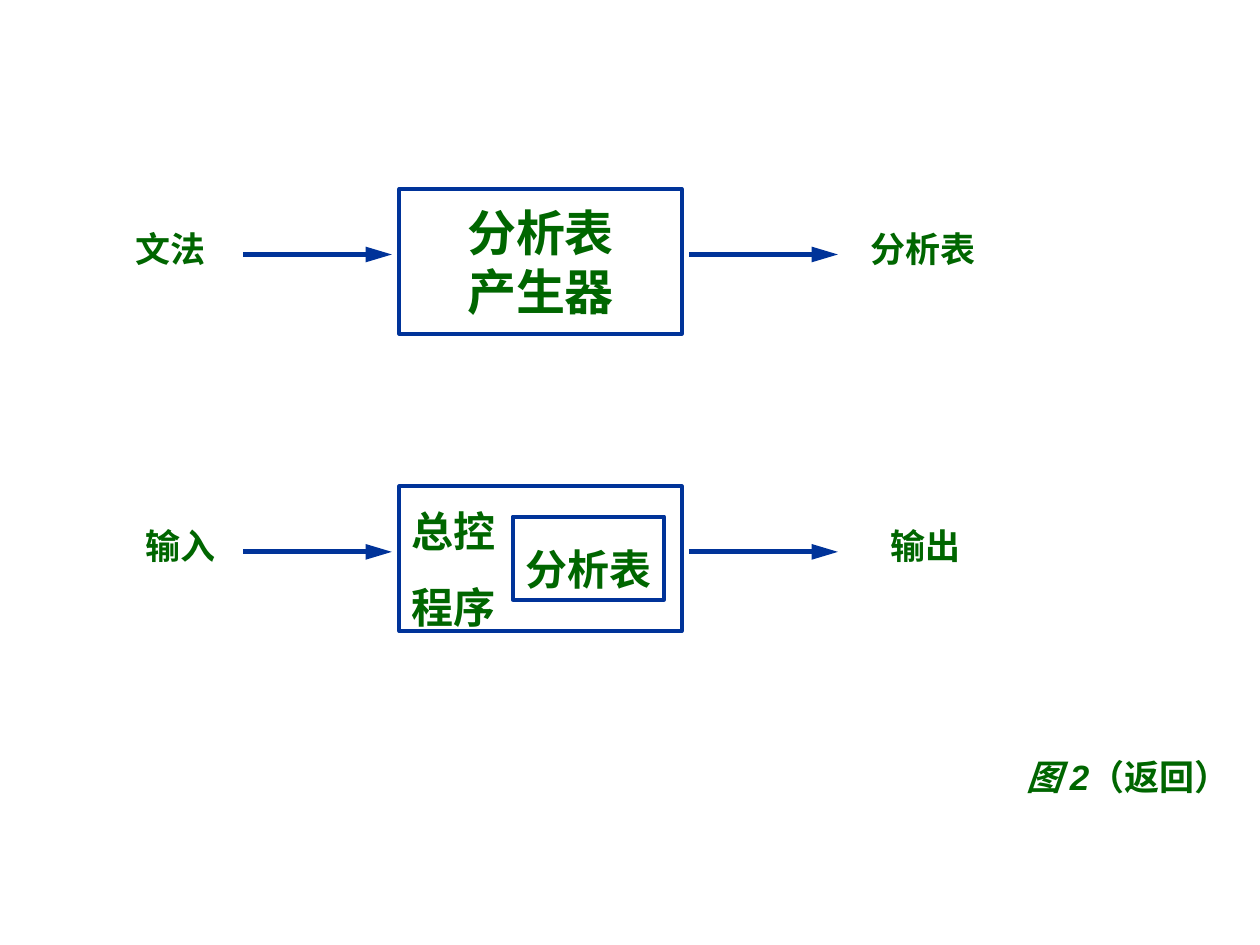
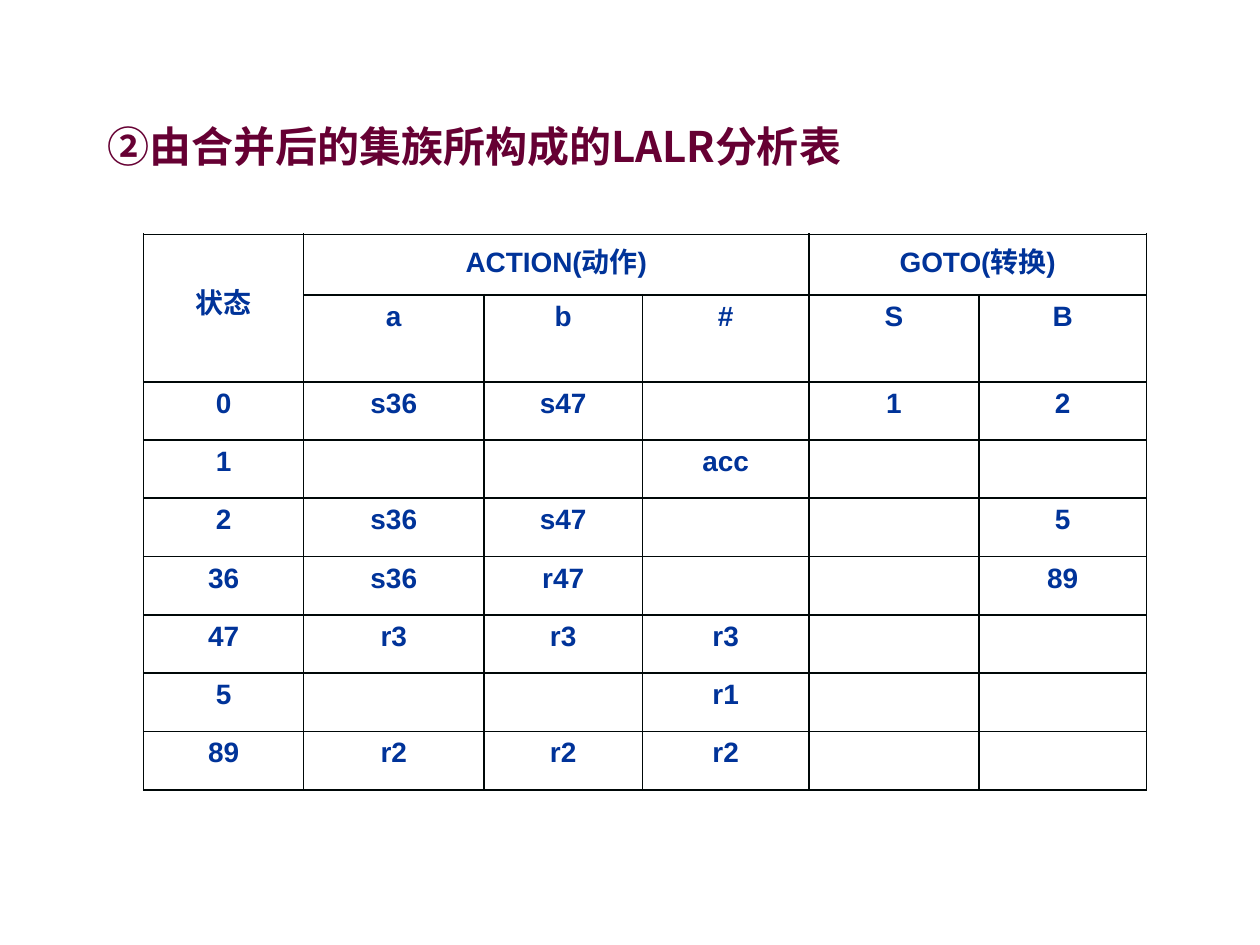
"""Build two slides on LALR parsing: a block diagram and an analysis table."""
from lxml.etree import SubElement
from pptx import Presentation
from pptx.dml.color import RGBColor
from pptx.enum.shapes import MSO_CONNECTOR, MSO_SHAPE
from pptx.enum.text import MSO_ANCHOR, MSO_AUTO_SIZE, PP_ALIGN
from pptx.oxml.ns import qn
from pptx.util import Inches, Pt

COLORS = {"text": "006600", "line": "003399", "title": "660033", "border": "000808"}
JP, SC, ARIAL = "Noto Sans CJK JP", "Noto Sans CJK SC", "Arial"

FLOWS = [
    {"top": 1.5, "box": ["分析表", "产生器"], "size": 28, "align": PP_ALIGN.CENTER,
     "spacing": None, "before": 0,
     "labels": [("文法", 0.98, 0.87), ("分析表", 6.81, 1.18)]},
    {"top": 3.86, "box": ["总控", "程序"], "size": 24, "align": PP_ALIGN.LEFT,
     "spacing": 1.4, "before": 3,
     "labels": [("输入", 1.06, 0.87), ("输出", 6.97, 0.79)]},
]
ARROWS = [(1.93, 3.11), (5.47, 6.65)]
INNER_BOX = "分析表"
CAPTION = [("图 2", True), ("（返回）", False)]

TITLE = [("②", SC), ("由合并后的集族所构成的LALR分析表", JP)]
COL_WIDTHS = [1.27, 1.43, 1.26, 1.32, 1.35, 1.33]
HEAD_HEIGHTS = [0.48, 0.69]
BODY_HEIGHT = 3.24
SPANS = [(0, 0, 1, 0), (0, 1, 0, 3), (0, 4, 0, 5)]
ROWS = [
    ["状态", "ACTION(动作)", "", "", "GOTO(转换)", ""],
    ["", "a", "b", "#", "S", "B"],
    ["0", "s36", "s47", "", "1", "2"],
    ["1", "", "", "acc", "", ""],
    ["2", "s36", "s47", "", "", "5"],
    ["36", "s36", "r47", "", "", "89"],
    ["47", "r3", "r3", "r3", "", ""],
    ["5", "", "", "r1", "", ""],
    ["89", "r2", "r2", "r2", "", ""],
]


def rgb(name):
    return RGBColor.from_string(COLORS[name])


def add_run(p, text, size, color, font=JP, italic=False):
    r = p.add_run()
    r.text = text
    r.font.size, r.font.bold, r.font.italic = Pt(size), True, italic
    r.font.color.rgb = rgb(color)
    r.font.name = font
    ea = SubElement(r.font._element, qn("a:ea"))
    ea.set("typeface", SC if font == ARIAL else font)


def set_frame(tf, anchor=MSO_ANCHOR.TOP, wrap=True):
    tf.word_wrap, tf.auto_size, tf.vertical_anchor = wrap, MSO_AUTO_SIZE.NONE, anchor
    tf.margin_left = tf.margin_right = Inches(0.1)
    tf.margin_top = tf.margin_bottom = Inches(0.05)


def set_paragraph(p, align, before=0, spacing=None):
    p.alignment, p.space_before, p.line_spacing = align, Pt(before), spacing


def add_text(s, left, top, width, height):
    tf = s.shapes.add_textbox(*map(Inches, (left, top, width, height))).text_frame
    set_frame(tf)
    return tf.paragraphs[0]


def add_box(s, at, lines, size, align, spacing, before, wrap=True):
    sp = s.shapes.add_shape(MSO_SHAPE.RECTANGLE, *map(Inches, at))
    sp.shadow.inherit = False
    sp.fill.background()
    sp.line.color.rgb, sp.line.width = rgb("line"), Pt(2.25)
    tf = sp.text_frame
    set_frame(tf, MSO_ANCHOR.MIDDLE, wrap)
    for i, line in enumerate(lines):
        p = tf.add_paragraph() if i else tf.paragraphs[0]
        set_paragraph(p, align, before, spacing)
        add_run(p, line, size, "text")


def add_arrow(s, x1, x2, y):
    cx = s.shapes.add_connector(MSO_CONNECTOR.STRAIGHT, *map(Inches, (x1, y, x2, y)))
    cx.line.color.rgb, cx.line.width = rgb("line"), Pt(3)
    SubElement(cx.line._get_or_add_ln(), qn("a:tailEnd"), type="triangle", w="med", len="lg")
    SubElement(cx._element.spPr, qn("a:effectLst"))


def build_diagram(prs):
    s = prs.slides.add_slide(prs.slide_layouts[6])
    p = add_text(s, 7.91, 5.95, 2.09, 0.44)
    set_paragraph(p, PP_ALIGN.CENTER, 12.5)
    for text, italic in CAPTION:
        add_run(p, text, 20, "text", ARIAL, italic)
    for flow in FLOWS:
        top = flow["top"]
        add_box(s, (3.17, top, 2.24, 1.15), flow["box"], flow["size"],
                flow["align"], flow["spacing"], flow["before"])
        for x1, x2 in ARROWS:
            add_arrow(s, x1, x2, top + 0.52)
        for text, left, width in flow["labels"]:
            p = add_text(s, left, top + 0.12, width, 0.57)
            set_paragraph(p, PP_ALIGN.LEFT, 12.5, 1.4)
            add_run(p, text, 20, "text")
    add_box(s, (4.07, 4.1, 1.2, 0.66), [INNER_BOX], 24, PP_ALIGN.CENTER, 1.4, 15, wrap=False)


def format_cell(cell, text):
    tcPr = cell._tc.get_or_add_tcPr()
    for side in ("lnL", "lnR", "lnT", "lnB"):
        ln = SubElement(tcPr, qn(f"a:{side}"), w=str(Pt(1.08)))
        fill = SubElement(ln, qn("a:solidFill"))
        SubElement(fill, qn("a:srgbClr"), val=COLORS["border"])
    cell.fill.background()
    p = cell.text_frame.paragraphs[0]
    set_paragraph(p, PP_ALIGN.CENTER, 4)
    p.font.size = Pt(16)
    if text:
        add_run(p, text, 16, "line", ARIAL)


def build_table(prs):
    s = prs.slides.add_slide(prs.slide_layouts[5])
    title = s.shapes.title
    title.left, title.top, title.width, title.height = map(Inches, (0.75, 0.91, 7.95, 0.5))
    set_frame(title.text_frame)
    p = title.text_frame.paragraphs[0]
    set_paragraph(p, PP_ALIGN.LEFT, 15)
    for text, font in TITLE:
        add_run(p, text, 24, "title", font)

    body_rows = len(ROWS) - len(HEAD_HEIGHTS)
    heights = HEAD_HEIGHTS + [BODY_HEIGHT / body_rows] * body_rows
    at = (1.14, 1.86, sum(COL_WIDTHS), sum(heights))
    table = s.shapes.add_table(len(ROWS), len(COL_WIDTHS), *map(Inches, at)).table
    table.first_row = table.horz_banding = False
    for col, width in zip(table.columns, COL_WIDTHS):
        col.width = Inches(width)
    for row, height, texts in zip(table.rows, heights, ROWS):
        row.height = Inches(height)
        for cell, text in zip(row.cells, texts):
            format_cell(cell, text)
    for r1, c1, r2, c2 in SPANS:
        table.cell(r1, c1).merge(table.cell(r2, c2))
    state = table.cell(0, 0)
    state.vertical_anchor, state.margin_bottom = MSO_ANCHOR.MIDDLE, Inches(0.16)


def main():
    prs = Presentation()
    prs.slide_width, prs.slide_height = Inches(10), Inches(7.5)
    build_diagram(prs)
    build_table(prs)
    prs.save("out.pptx")


if __name__ == "__main__":
    main()
